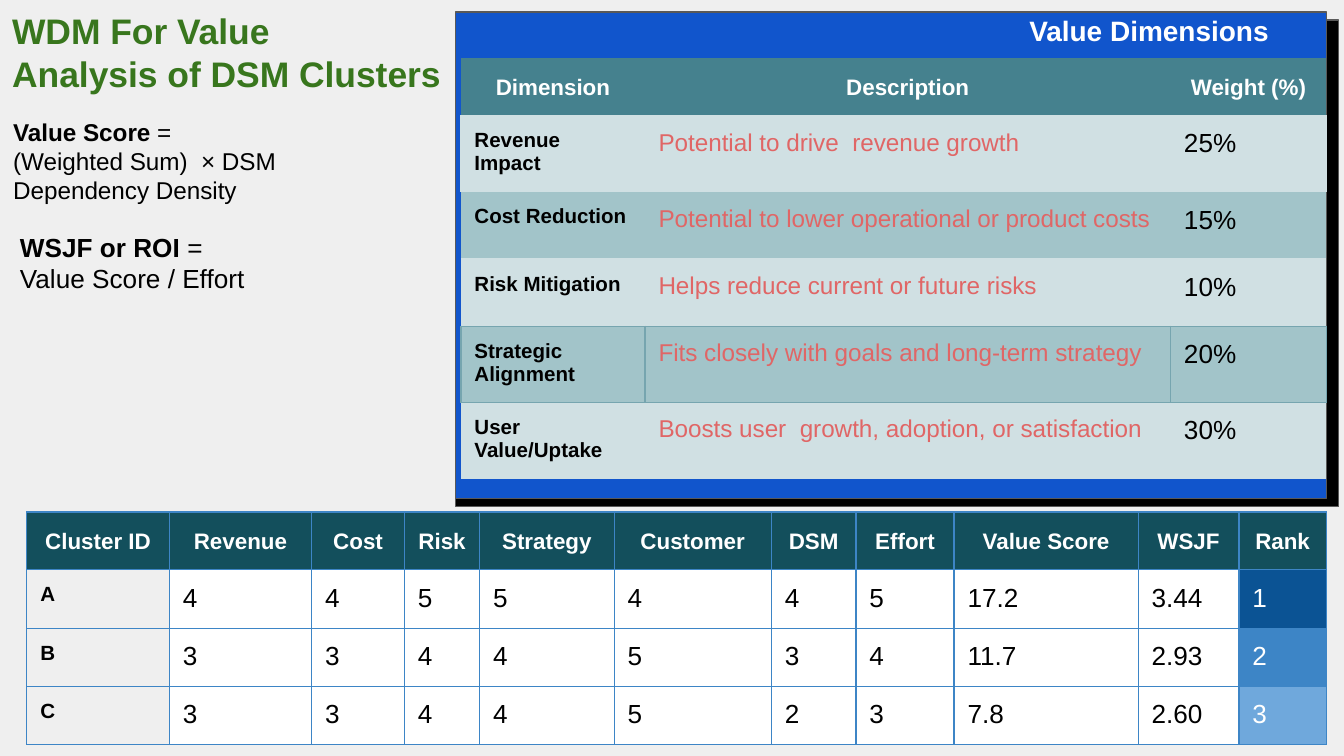
"""Build the slide on value dimensions and cluster scores."""
import pptx
import pptx.dml.color
import pptx.enum.shapes
import pptx.enum.text
import pptx.oxml
import pptx.oxml.ns
import pptx.util

HUES = {
    "back": "EFEFEF", "ink": "000000", "white": "FFFFFF", "title": "38761D",
    "panel": "1155CC", "edge": "595959", "teal": "45818E", "deep": "134F5C",
    "pale": "D0E0E3", "mid": "A2C4C9", "rule": "76A5AF", "coral": "E06666",
    "grid": "3D85C6", "first": "0B5394", "second": "3D85C6", "third": "6FA8DC",
}
WIDE, HIGH = 10, 10 * 9 / 16
TITLE = [["WDM For Value"], ["Analysis of DSM Clusters"]]
NOTES = [
    ((7.56, 0, 2.32, 0.45), [["Value Dimensions"]], dict(size=15, hue="white", bold=True)),
    ((0.05, 1.62, 2.87, 0.67), [["*WSJF or ROI", " ="], ["Value Score / Effort"]], dict(size=14)),
    ((0, 0.77, 2.77, 0.86),
     [["*Value Score", " ="], ["(Weighted Sum)  × DSM Dependency Density"]], dict(size=13)),
]
PANELS = [((3.39, 0.15, 6.57, 3.62), "ink"), ((3.39, 0.09, 6.48, 3.62), "panel")]
WEIGHTS = [
    ("Dimension", "Description", "Weight (%)"),
    ("Revenue Impact", "Potential to drive  revenue growth", "25%"),
    ("Cost Reduction", "Potential to lower operational or product costs", "15%"),
    ("Risk Mitigation", "Helps reduce current or future risks", "10%"),
    ("Strategic Alignment", "Fits closely with goals and long-term strategy", "20%"),
    ("User  Value/Uptake", "Boosts user  growth, adoption, or satisfaction", "30%"),
]
SCORES = [
    ("Cluster ID", "Revenue", "Cost", "Risk", "Strategy", "Customer", "DSM",
     "Effort", "Value Score", "WSJF", "Rank"),
    ("A", "4", "4", "5", "5", "4", "4", "5", "17.2", "3.44", "1"),
    ("B", "3", "3", "4", "4", "5", "3", "4", "11.7", "2.93", "2"),
    ("C", "3", "3", "4", "4", "5", "2", "3", "7.8", "2.60", "3"),
]
RANKS = ["first", "second", "third"]
LINES = {0: ("B", "pale"), 1: ("LRTB", "pale"), 2: ("T", "pale"),
         3: ("B", "rule"), 4: ("LRTB", "rule"), 5: ("T", "rule")}
PLAIN = "{2D5ABB26-0587-4C30-8999-92F81FD0307C}"
INSET = pptx.util.Inches(0.1)


def tint(hue):
    return pptx.dml.color.RGBColor.from_string(HUES[hue])


def place(box):
    return [pptx.util.Inches(side) for side in box]


def write(frame, paras, size=14, hue="ink", bold=False, align="LEFT", space=None):
    for num, runs in enumerate(paras):
        para = frame.add_paragraph() if num else frame.paragraphs[0]
        para.alignment = getattr(pptx.enum.text.PP_ALIGN, align)
        if space:
            para.line_spacing = space
        for text in runs:
            run = para.add_run()
            run.text = text.removeprefix("*")
            run.font.name = "Arial"
            run.font.size = pptx.util.Pt(size)
            run.font.bold = bold or text.startswith("*")
            run.font.color.rgb = tint(hue)


def fit(frame):
    frame.word_wrap = True
    frame.auto_size = pptx.enum.text.MSO_AUTO_SIZE.SHAPE_TO_FIT_TEXT
    frame.vertical_anchor = pptx.enum.text.MSO_ANCHOR.TOP
    frame.margin_left = frame.margin_right = INSET
    frame.margin_top = frame.margin_bottom = INSET
    return frame


def edge(cell, sides, hue):
    props = cell._tc.get_or_add_tcPr()
    for side in sides:
        props.append(pptx.oxml.parse_xml(
            f'<a:ln{side} {pptx.oxml.ns.nsdecls("a")} w="9525"><a:solidFill>'
            f'<a:srgbClr val="{HUES[hue]}"/></a:solidFill></a:ln{side}>'))


def grid(slide, left, top, cols, high, data, style):
    rows = [high[0]] + [high[1]] * (len(data) - 1)
    box = place((left, top, sum(cols), sum(rows)))
    table = slide.shapes.add_table(len(rows), len(cols), *box).table
    table.first_row = table.horz_banding = False
    table._tbl.tblPr.find(pptx.oxml.ns.qn("a:tableStyleId")).text = PLAIN
    for col, wide in zip(table.columns, cols):
        col.width = pptx.util.Inches(wide)
    for row, tall in zip(table.rows, rows):
        row.height = pptx.util.Inches(tall)
    for r, items in enumerate(data):
        for c, text in enumerate(items):
            cell = table.cell(r, c)
            cell.margin_left = cell.margin_right = INSET
            cell.margin_top = cell.margin_bottom = INSET
            fill, sides, line, form = style(r, c)
            edge(cell, sides, line)
            if fill:
                cell.fill.solid()
                cell.fill.fore_color.rgb = tint(fill)
            write(cell.text_frame, [[text]], **form)


HEAD = dict(size=12, hue="white", bold=True, align="CENTER", space=1.15)
LABEL = dict(size=11, bold=True)


def weigh(r, c):
    fill = "mid" if r % 2 == 0 else "pale"
    form = [LABEL, dict(size=13, hue="coral"), dict(size=14)][c]
    return ("teal" if r == 0 else fill), *LINES[r], (HEAD if r == 0 else form)


def score(r, c):
    if r == 0:
        fill, form = "deep", HEAD
    elif c == 0:
        fill, form = None, LABEL
    elif c == len(SCORES[0]) - 1:
        fill, form = RANKS[r - 1], dict(hue="white")
    else:
        fill, form = "white", {}
    return fill, "LRTB", "grid", form


def main():
    deck = pptx.Presentation()
    deck.slide_width, deck.slide_height = place((WIDE, HIGH))
    slide = deck.slides.add_slide(deck.slide_layouts[5])
    slide.background.fill.solid()
    slide.background.fill.fore_color.rgb = tint("back")

    title = slide.shapes.title
    title.left, title.top, title.width, title.height = place((-0.01, -0.03, 3.65, 0.84))
    write(fit(title.text_frame), TITLE, size=19, hue="title", bold=True)

    for box, hue in PANELS:
        panel = slide.shapes.add_shape(pptx.enum.shapes.MSO_SHAPE.RECTANGLE, *place(box))
        panel.shadow.inherit = False
        panel.fill.solid()
        panel.fill.fore_color.rgb = tint(hue)
        panel.line.color.rgb = tint("edge")
        panel.line.width = pptx.util.Pt(0.75)

    grid(slide, 3.43, 0.43, [1.37, 3.91, 1.16], (0.34, 0.5), WEIGHTS, weigh)
    for box, paras, form in NOTES:
        note = slide.shapes.add_textbox(*place(box))
        write(fit(note.text_frame), paras, **form)
    grid(slide, 0.2, 3.81, [1.06, 1.06, 0.69, 0.56, 1, 1.17, 0.63, 0.73, 1.37, 0.75, 0.65],
         (0.22, 0.22), SCORES, score)
    deck.save("out.pptx")


if __name__ == "__main__":
    main()
